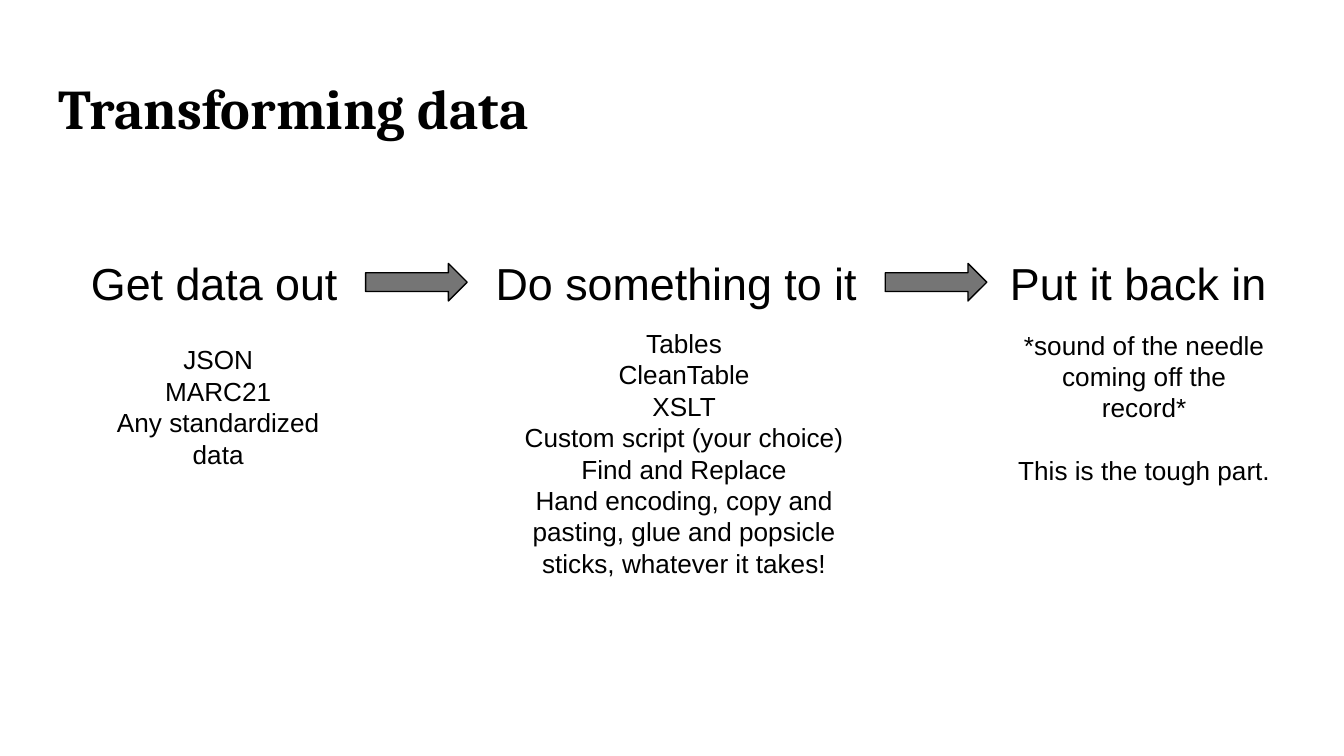
from dataclasses import dataclass

from pptx import Presentation
from pptx.dml.color import RGBColor
from pptx.enum.shapes import MSO_SHAPE as Preset
from pptx.enum.text import MSO_ANCHOR as Anchor, MSO_AUTO_SIZE as AutoSize, PP_ALIGN as Align
from pptx.slide import Slide
from pptx.text.text import TextFrame
from pptx.util import Cm, Pt


@dataclass(frozen=True)
class Theme:
    ink: RGBColor = RGBColor(0x00, 0x00, 0x00)
    arrow: RGBColor = RGBColor(0x75, 0x75, 0x75)
    title_font: str = "Cambria"
    body_font: str = "Arial"
    title_size: float = 30
    step_size: float = 24
    detail_size: float = 14
    blank_line: float = 16.8
    outline: float = 0.75
    inset: float = 0.25


@dataclass(frozen=True)
class Box:
    """Position and size in centimetres."""
    left: float
    top: float
    width: float
    height: float

    def emu(self) -> tuple[Cm, Cm, Cm, Cm]:
        return Cm(self.left), Cm(self.top), Cm(self.width), Cm(self.height)


@dataclass(frozen=True)
class Step:
    heading: str
    width: float
    details: tuple[str, ...]
    details_box: Box
    spaced: bool = False


THEME = Theme()
TITLE_BOX = Box(0.86, 1.14, 23.67, 1.78)
STEPS_LEFT, STEPS_TOP, STEP_HEIGHT = 1.19, 4.45, 1.78
ARROW_TOP, ARROW_WIDTH, ARROW_HEIGHT = 4.98, 1.92, 0.71

STEPS = (
    Step("Get data out", 5.72,
         ("JSON", "MARC21", "Any standardized data"),
         Box(1.8, 6.25, 4.65, 6.17)),
    Step("Do something to it", 7.9,
         ("Tables", "CleanTable", "XSLT", "Custom script (your choice)",
          "Find and Replace",
          "Hand encoding, copy and pasting, glue and popsicle sticks, whatever it takes!"),
         Box(9.63, 5.94, 6.6, 6.63)),
    Step("Put it back in", 5.72,
         ("*sound of the needle coming off the record*", "This is the tough part."),
         Box(18.97, 5.97, 5.31, 5.31), spaced=True),
)


def write(frame: TextFrame, lines: tuple[str, ...], size: float, font: str,
          align: Align = Align.CENTER, anchor: Anchor = Anchor.TOP,
          bold: bool = False, gap: float = 0) -> None:
    frame.word_wrap = True
    frame.auto_size = AutoSize.NONE
    frame.vertical_anchor = anchor
    frame.margin_left = frame.margin_right = Cm(THEME.inset)
    frame.margin_top = frame.margin_bottom = Cm(THEME.inset)
    for index, line in enumerate(lines):
        paragraph = frame.add_paragraph() if index else frame.paragraphs[0]
        paragraph.alignment = align
        paragraph.space_before = Pt(gap if index else 0)
        run = paragraph.add_run()
        run.text = line
        run.font.name = font
        run.font.size = Pt(size)
        run.font.bold = bold
        run.font.color.rgb = THEME.ink


def draw_title(slide: Slide, text: str) -> None:
    title = slide.shapes.title
    title.left, title.top, title.width, title.height = TITLE_BOX.emu()
    write(title.text_frame, (text,), THEME.title_size, THEME.title_font,
          align=Align.LEFT, bold=True)


def draw_step(slide: Slide, step: Step, left: float) -> None:
    heading = slide.shapes.add_textbox(*Box(left, STEPS_TOP, step.width, STEP_HEIGHT).emu())
    write(heading.text_frame, (step.heading,), THEME.step_size, THEME.body_font,
          anchor=Anchor.MIDDLE)
    details = slide.shapes.add_textbox(*step.details_box.emu())
    write(details.text_frame, step.details, THEME.detail_size, THEME.body_font,
          gap=THEME.blank_line if step.spaced else 0)


def draw_arrow(slide: Slide, left: float) -> None:
    arrow = slide.shapes.add_shape(
        Preset.RIGHT_ARROW, *Box(left, ARROW_TOP, ARROW_WIDTH, ARROW_HEIGHT).emu())
    arrow.shadow.inherit = False
    arrow.fill.solid()
    arrow.fill.fore_color.rgb = THEME.arrow
    arrow.line.color.rgb = THEME.ink
    arrow.line.width = Pt(THEME.outline)


def main() -> None:
    deck = Presentation()
    deck.slide_width, deck.slide_height = Cm(25.4), Cm(14.29)
    slide = deck.slides.add_slide(deck.slide_layouts.get_by_name("Title Only"))

    draw_title(slide, "Transforming data")

    # Steps run left to right, with an arrow filling each gap
    left = STEPS_LEFT
    for index, step in enumerate(STEPS):
        if index:
            draw_arrow(slide, left)
            left += ARROW_WIDTH
        draw_step(slide, step, left)
        left += step.width

    deck.save("out.pptx")


if __name__ == "__main__":
    main()
